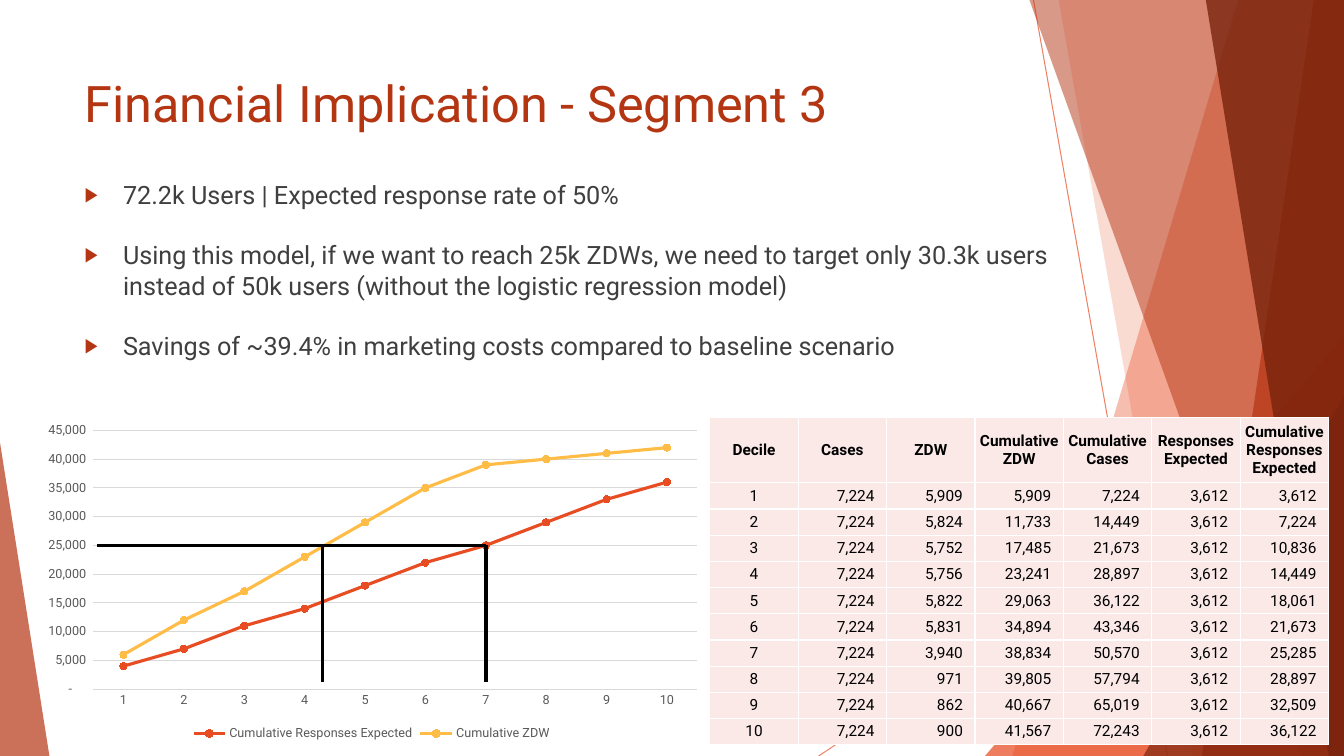
from lxml.etree import SubElement
from pptx import Presentation
from pptx.chart.data import CategoryChartData
from pptx.dml.color import RGBColor
from pptx.enum.chart import XL_CHART_TYPE, XL_LEGEND_POSITION, XL_MARKER_STYLE, XL_TICK_MARK
from pptx.enum.shapes import MSO_CONNECTOR, MSO_SHAPE
from pptx.enum.text import MSO_ANCHOR, MSO_AUTO_SIZE, PP_ALIGN
from pptx.oxml import parse_xml
from pptx.oxml.ns import nsdecls, qn
from pptx.util import Inches, Pt

FONT = "Roboto"
ORANGE = RGBColor(0xE8, 0x4C, 0x22)
RUST = RGBColor(0xB5, 0x35, 0x13)
MAROON = RGBColor(0x78, 0x23, 0x0D)
YELLOW = RGBColor(0xFF, 0xBD, 0x47)
TITLE_RED = RGBColor(0xB4, 0x35, 0x12)
BODY_GRAY = RGBColor(0x3F, 0x3F, 0x3F)
AXIS_GRAY = RGBColor(0x59, 0x59, 0x59)
GRID_GRAY = RGBColor(0xD9, 0xD9, 0xD9)
PINK = RGBColor(0xFB, 0xE9, 0xE8)
BLACK = RGBColor(0, 0, 0)

SLIDE_WIDTH, SLIDE_HEIGHT = 13.33, 7.5
TITLE = "Financial Implication - Segment 3"
BULLETS = [
    "72.2k Users | Expected response rate of 50%",
    "Using this model, if we want to reach 25k ZDWs, we need to target only 30.3k users "
    "instead of 50k users (without the logistic regression model)",
    "Savings of ~39.4% in marketing costs compared to baseline scenario",
]
HEADERS = ["Decile", "Cases", "ZDW", "Cumulative ZDW", "Cumulative Cases",
           "Responses Expected", "Cumulative Responses Expected"]
DECILES = [
    (1, 7224, 5909, 5909, 7224, 3612, 3612),
    (2, 7224, 5824, 11733, 14449, 3612, 7224),
    (3, 7224, 5752, 17485, 21673, 3612, 10836),
    (4, 7224, 5756, 23241, 28897, 3612, 14449),
    (5, 7224, 5822, 29063, 36122, 3612, 18061),
    (6, 7224, 5831, 34894, 43346, 3612, 21673),
    (7, 7224, 3940, 38834, 50570, 3612, 25285),
    (8, 7224, 971, 39805, 57794, 3612, 28897),
    (9, 7224, 862, 40667, 65019, 3612, 32509),
    (10, 7224, 900, 41567, 72243, 3612, 36122),
]


def set_alpha(shape, percent):
    color = shape.element.find(".//" + qn("a:srgbClr"))
    SubElement(color, qn("a:alpha"), val=str(percent * 1000))


def format_font(font, size, color, bold=False):
    font.name, font.size, font.bold = FONT, Pt(size), bold
    font.color.rgb = color


def add_line(slide, start, end, color, width):
    line = slide.shapes.add_connector(
        MSO_CONNECTOR.STRAIGHT, *(Inches(value) for value in (*start, *end)))
    line.line.color.rgb = color
    line.line.width = Pt(width)
    SubElement(line.element.spPr, qn("a:effectLst"))
    return line


def paint_facet(shape, color, alpha):
    shape.shadow.inherit = False
    shape.fill.solid()
    shape.fill.fore_color.rgb = color
    shape.line.fill.background()
    set_alpha(shape, alpha)


def add_band(slide, top_left, bottom_left, color, alpha):
    """Add a facet that runs from a slanted left side to the right slide edge."""
    builder = slide.shapes.build_freeform(Inches(top_left), 0, scale=1.0)
    corners = [(SLIDE_WIDTH, 0), (SLIDE_WIDTH, SLIDE_HEIGHT), (bottom_left, SLIDE_HEIGHT)]
    builder.add_line_segments([(Inches(x), Inches(y)) for x, y in corners], close=True)
    paint_facet(builder.convert_to_shape(), color, alpha)


def add_corner(slide, left, top, width, apex, color, alpha):
    """Add a triangle that stands on the bottom slide edge."""
    triangle = slide.shapes.add_shape(
        MSO_SHAPE.ISOSCELES_TRIANGLE, Inches(left), Inches(top),
        Inches(width), Inches(SLIDE_HEIGHT - top))
    triangle.adjustments[0] = apex
    paint_facet(triangle, color, alpha)


def add_facets(slide):
    for start, end in [((10.25, 0), (11.58, 7.5)), ((13.33, 4.03), (8.12, 7.5))]:
        set_alpha(add_line(slide, start, end, ORANGE, 0.75), 70)
    add_band(slide, 12.28, 10.04, ORANGE, 36)
    add_band(slide, 10.5, 11.83, ORANGE, 20)
    add_corner(slide, 9.77, 3.33, 3.56, 1, ORANGE, 72)
    add_band(slide, 10.21, 12.91, RUST, 50)
    add_band(slide, 13.03, 11.92, RUST, 70)
    add_band(slide, 11.96, 13.18, MAROON, 80)
    add_corner(slide, 11.34, 3.93, 1.99, 1, MAROON, 66)
    add_corner(slide, 0, 4.39, 0.49, 0, RUST, 70)


def fill_placeholder(shape, box, lines, size, color):
    shape.left, shape.top, shape.width, shape.height = (Inches(value) for value in box)
    shape.element.getparent().append(shape.element)  # bring to front
    frame = shape.text_frame
    frame.text = "\n".join(lines)
    frame.auto_size = MSO_AUTO_SIZE.NONE
    frame.vertical_anchor = MSO_ANCHOR.TOP
    for paragraph in frame.paragraphs:
        paragraph.alignment = PP_ALIGN.LEFT
        paragraph.space_before = Pt(0)
        format_font(paragraph.runs[0].font, size, color)
    return frame.paragraphs


def add_bullet(paragraph):
    properties = paragraph._p.get_or_add_pPr()
    properties.set("marL", str(Inches(0.38)))
    properties.set("indent", str(Inches(-0.38)))
    SubElement(SubElement(properties, qn("a:buClr")), qn("a:srgbClr"), val=str(TITLE_RED))
    SubElement(properties, qn("a:buSzPct"), val="80000")
    SubElement(properties, qn("a:buChar"), char="▶")


def set_plot_area(chart, x, y, w, h):
    plot_area = chart.element.find(".//" + qn("c:plotArea"))
    for layout in plot_area.findall(qn("c:layout")):
        plot_area.remove(layout)
    values = "".join(f'<c:{key} val="{value}"/>' for key, value in
                     (("x", x), ("y", y), ("w", w), ("h", h)))
    plot_area.insert(0, parse_xml(
        f'<c:layout {nsdecls("c")}><c:manualLayout><c:layoutTarget val="inner"/>'
        f'<c:xMode val="edge"/><c:yMode val="edge"/>{values}</c:manualLayout></c:layout>'))


def add_response_chart(slide):
    series_colors = {"Cumulative Responses Expected": ORANGE, "Cumulative ZDW": YELLOW}
    data = CategoryChartData()
    data.categories = [str(row[0]) for row in DECILES]
    for name in series_colors:
        column = HEADERS.index(name)
        data.add_series(name, [round(row[column], -3) for row in DECILES])
    chart = slide.shapes.add_chart(
        XL_CHART_TYPE.LINE_MARKERS, Inches(0.32), Inches(4.14),
        Inches(6.73), Inches(3.25), data).chart
    chart.has_title = False
    format_font(chart.font, 10, BLACK)
    chart.plots[0].vary_by_categories = False
    for series, color in zip(chart.plots[0].series, series_colors.values()):
        series.smooth = False
        series.format.line.color.rgb = color
        series.format.line.width = Pt(2.25)
        series.marker.style, series.marker.size = XL_MARKER_STYLE.CIRCLE, 5
        series.marker.format.fill.solid()
        series.marker.format.fill.fore_color.rgb = color
        series.marker.format.line.color.rgb = color

    # Axes and legend
    for axis in (chart.category_axis, chart.value_axis):
        axis.major_tick_mark = axis.minor_tick_mark = XL_TICK_MARK.NONE
        format_font(axis.tick_labels.font, 9, AXIS_GRAY)
    value_axis = chart.value_axis
    value_axis.minimum_scale, value_axis.maximum_scale = 0, 45000
    value_axis.major_unit = 5000
    value_axis.format.line.fill.background()
    value_axis.tick_labels.number_format = '_(* #,##0_);_(* (#,##0);_(* "-"??_);_(@_)'
    value_axis.tick_labels.number_format_is_linked = False
    for line in (value_axis.major_gridlines.format.line, chart.category_axis.format.line):
        line.color.rgb = GRID_GRAY
        line.width = Pt(0.75)
    chart.has_legend = True
    chart.legend.position = XL_LEGEND_POSITION.BOTTOM
    chart.legend.include_in_layout = False
    format_font(chart.legend.font, 9, AXIS_GRAY)
    set_plot_area(chart, 0.09, 0.04, 0.89, 0.79)


def format_cell(cell, text, alignment, bold):
    cell.text = text
    cell.vertical_anchor = MSO_ANCHOR.MIDDLE
    cell.margin_left = cell.margin_top = cell.margin_bottom = 0
    cell.margin_right = Inches(0.12) if alignment == PP_ALIGN.RIGHT else 0
    cell.fill.solid()
    cell.fill.fore_color.rgb = PINK
    paragraph = cell.text_frame.paragraphs[0]
    paragraph.alignment = alignment
    format_font(paragraph.runs[0].font, 11, BLACK, bold)
    for index, side in enumerate(("lnL", "lnR", "lnT", "lnB")):
        cell._tc.get_or_add_tcPr().insert(index, parse_xml(
            f'<a:{side} {nsdecls("a")} w="12700"><a:solidFill>'
            f'<a:srgbClr val="FFFFFF"/></a:solidFill></a:{side}>'))


def add_decile_table(slide):
    rows = [HEADERS] + [[f"{value:,}" for value in row] for row in DECILES]
    table = slide.shapes.add_table(
        len(rows), len(HEADERS), Inches(7.04), Inches(4.14), Inches(6.14), Inches(3.25)).table
    table.first_row = table.horz_banding = False
    for row_index, row in enumerate(rows):
        is_header = row_index == 0
        table.rows[row_index].height = Inches(0.65 if is_header else 0.26)
        for column, text in enumerate(row):
            centered = is_header or column == 0
            alignment = PP_ALIGN.CENTER if centered else PP_ALIGN.RIGHT
            format_cell(table.cell(row_index, column), text, alignment, is_header)


def main():
    presentation = Presentation()
    presentation.slide_width = Inches(SLIDE_WIDTH)
    presentation.slide_height = Inches(SLIDE_HEIGHT)
    slide = presentation.slides.add_slide(presentation.slide_layouts[1])
    title, body = slide.shapes.title, slide.placeholders[1]

    # Background and chart
    add_facets(slide)
    add_response_chart(slide)

    # Title and findings
    fill_placeholder(title, (0.74, 0.67, 9.75, 1.44), [TITLE], 36, TITLE_RED)
    for paragraph in fill_placeholder(body, (0.74, 1.73, 9.98, 5.28), BULLETS, 18, BODY_GRAY):
        paragraph.space_after = Pt(21.5)
        add_bullet(paragraph)

    # Guides for the 25k target
    add_line(slide, (0.96, 5.41), (4.82, 5.41), BLACK, 2.25)
    for x in (3.2, 4.82):
        add_line(slide, (x, 5.41), (x, 6.77), BLACK, 2.25)

    add_decile_table(slide)
    presentation.save("out.pptx")


if __name__ == "__main__":
    main()
